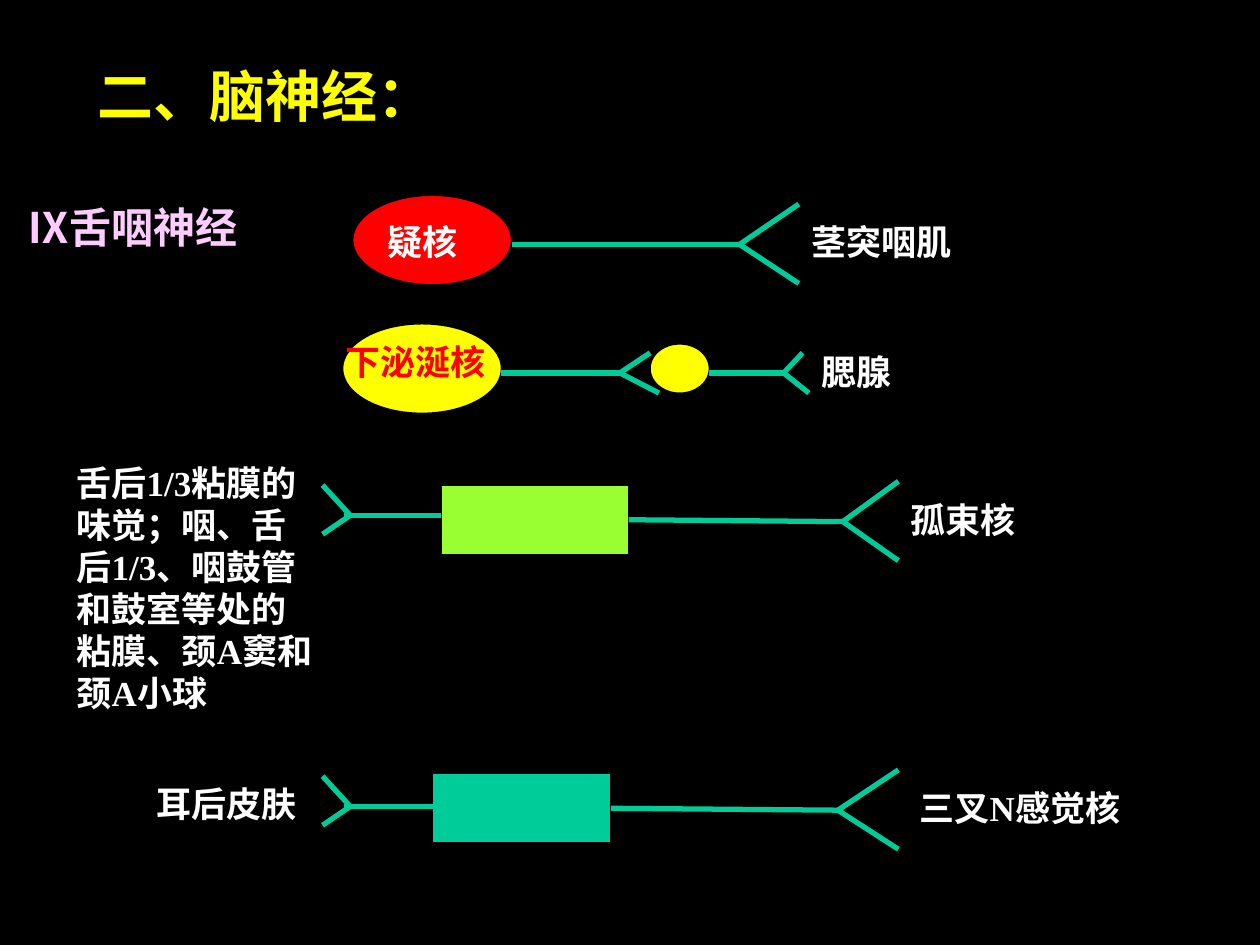
import dataclasses

import lxml.etree
import pptx
import pptx.dml.color
import pptx.enum.shapes
import pptx.enum.text
import pptx.oxml.ns
import pptx.util

Inches = pptx.util.Inches
Pt = pptx.util.Pt
RGB = pptx.dml.color.RGBColor.from_string
OVAL = pptx.enum.shapes.MSO_SHAPE.OVAL
RECT = pptx.enum.shapes.MSO_SHAPE.RECTANGLE


@dataclasses.dataclass(frozen=True)
class Theme:
    black: str = "000000"
    white: str = "FFFFFF"
    yellow: str = "FFFF00"
    red: str = "FF0000"
    pink: str = "FFCCFF"
    lime: str = "99FF33"
    teal: str = "00CC99"
    font: str = "Times New Roman"
    title: int = 32
    heading: int = 24
    label: int = 20


T = Theme()


def set_attrs(obj, values):
    for name, value in values.items():
        setattr(obj, name, value)


def write(sp, text, size, color, indent=0):
    tf = sp.text_frame
    set_attrs(tf, {
        "word_wrap": True,
        "auto_size": pptx.enum.text.MSO_AUTO_SIZE.NONE,
        "vertical_anchor": pptx.enum.text.MSO_ANCHOR.TOP,
        "margin_left": Inches(0.1), "margin_right": Inches(0.1),
        "margin_top": Inches(0.05), "margin_bottom": Inches(0.05),
    })
    p = tf.paragraphs[0]
    p.alignment = pptx.enum.text.PP_ALIGN.LEFT
    if indent:
        p._p.get_or_add_pPr().set("indent", str(Inches(indent)))
    r = p.add_run()
    r.text = text
    set_attrs(r.font, {"name": T.font, "size": Pt(size), "bold": True})
    r.font.color.rgb = RGB(color)


def add_title(s, box, text):
    sp = s.shapes.title
    set_attrs(sp, dict(zip(("left", "top", "width", "height"), map(Inches, box))))
    write(sp, text, T.title, T.yellow)


def add_label(shapes, box, text, size=T.label, color=T.white, indent=0):
    write(shapes.add_textbox(*map(Inches, box)), text, size, color, indent)


def add_nucleus(shapes, kind, box, color):
    sp = shapes.add_shape(kind, *map(Inches, box))
    sp.shadow.inherit = False
    sp.fill.solid()
    sp.fill.fore_color.rgb = RGB(color)
    sp.line.color.rgb = RGB(T.black)
    sp.line.width = Pt(0.75)
    return sp


def add_fiber(shapes, start, end):
    c = shapes.add_connector(pptx.enum.shapes.MSO_CONNECTOR.STRAIGHT,
                             *map(Inches, start + end))
    c.line.color.rgb = RGB(T.teal)
    c.line.width = Pt(3)
    lxml.etree.SubElement(c._element.spPr, pptx.oxml.ns.qn("a:effectLst"))
    return c


def add_fork(shapes, apex, *tips):
    for tip in tips:
        add_fiber(shapes, apex, tip)


def add_motor_row(s):
    g = s.shapes.add_group_shape().shapes
    add_nucleus(g, OVAL, (2.8, 1.55, 1.26, 0.71), T.red)
    add_fiber(g, (4.06, 1.94), (5.87, 1.94))
    add_fork(g, (5.87, 1.94), (6.34, 1.62), (6.34, 2.25))
    add_label(g, (2.98, 1.7, 1.24, 0.44), "疑核")
    add_label(g, (6.34, 1.7, 2.28, 0.44), "茎突咽肌")


def add_gland_row(s):
    g = s.shapes.add_group_shape().shapes
    add_nucleus(g, OVAL, (2.72, 2.57, 1.26, 0.71), T.yellow)
    add_fiber(g, (3.98, 2.96), (4.92, 2.96))
    add_fork(g, (4.92, 2.96), (5.16, 2.8), (5.23, 3.12))
    add_nucleus(g, OVAL, (5.16, 2.73, 0.47, 0.39), T.yellow)
    add_fiber(g, (5.63, 2.96), (6.22, 2.96))
    add_fork(g, (6.22, 2.96), (6.37, 2.8), (6.42, 3.12))
    add_label(g, (2.64, 2.65, 1.42, 0.44), "下泌涎核", color=T.red)
    add_label(g, (6.42, 2.73, 2.21, 0.44), "腮腺")


def add_sensory_row(s, box, color, left_y, right_y, apex_x, source, target):
    g = s.shapes.add_group_shape().shapes
    ganglion = add_nucleus(g, RECT, box, color)
    add_fiber(g, (2.73, left_y), (3.5, left_y))
    add_fork(g, (2.78, left_y), (2.56, left_y - 0.24), (2.56, left_y + 0.15))
    fiber = add_fiber(g, (box[0] + box[2], right_y), (apex_x, right_y))
    fiber.begin_connect(ganglion, 3)
    add_fork(g, (apex_x, right_y), (7.13, right_y - 0.32), (7.13, right_y + 0.31))
    add_label(g, **source)
    add_label(g, **target)


def main():
    prs = pptx.Presentation()
    prs.slide_width, prs.slide_height = Inches(10), Inches(7.5)
    s = prs.slides.add_slide(prs.slide_layouts[5])
    s.background.fill.solid()
    s.background.fill.fore_color.rgb = RGB(T.black)

    add_title(s, (0.67, 0.44, 3.19, 0.64), "二、脑神经：")
    add_label(s.shapes, (0.12, 1.55, 2.12, 0.5), "Ⅸ舌咽神经", T.heading, T.pink)
    add_motor_row(s)
    add_gland_row(s)
    add_sensory_row(
        s, (3.5, 3.85, 1.49, 0.55), T.lime, 4.09, 4.14, 6.69,
        {"box": (0.51, 3.61, 2.13, 2.1),
         "text": "舌后1/3粘膜的味觉；咽、舌后1/3、咽鼓管和鼓室等处的粘膜、颈A窦和颈A小球"},
        {"box": (7.13, 3.91, 1.18, 0.44), "text": "孤束核"})
    add_sensory_row(
        s, (3.43, 6.14, 1.42, 0.55), T.teal, 6.4, 6.43, 6.65,
        {"box": (1.14, 6.16, 1.58, 0.44), "text": "耳后皮肤"},
        {"box": (7.13, 6.19, 1.97, 0.77), "text": "三叉N感觉核", "indent": 0.07})
    prs.save("out.pptx")


if __name__ == "__main__":
    main()
